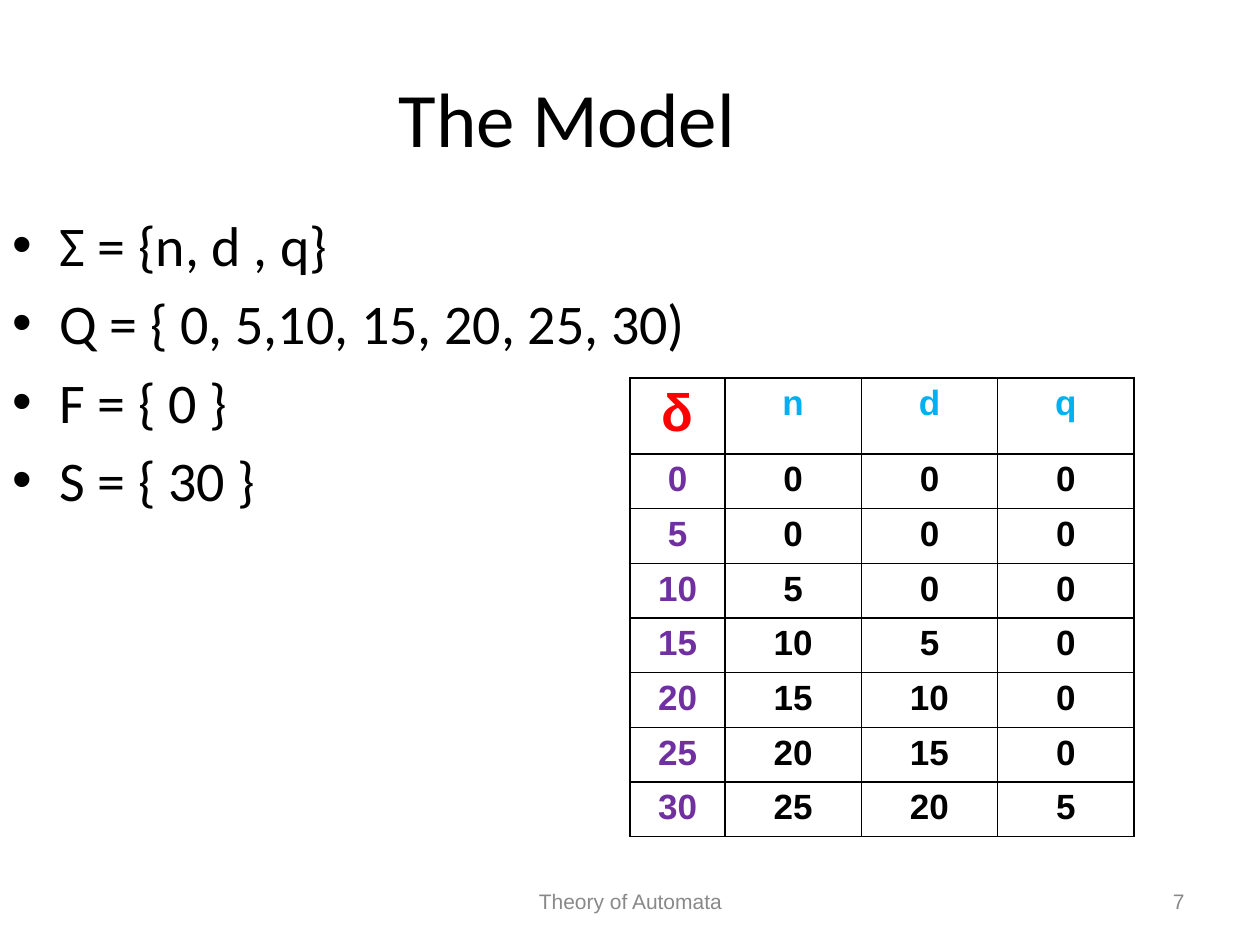
from dataclasses import dataclass
from lxml.etree import SubElement
from pptx import Presentation
from pptx.dml.color import RGBColor
from pptx.enum.text import MSO_ANCHOR, PP_ALIGN
from pptx.oxml import parse_xml
from pptx.oxml.ns import nsdecls, qn
from pptx.util import Emu, Pt

EMU_PER_PIXEL = 914400 / 126


def px(length):
    return Emu(round(length * EMU_PER_PIXEL))


@dataclass(frozen=True)
class Theme:
    heading_font: str = "Calibri"
    table_font: str = "Arial"
    ink: str = "000000"
    muted: str = "898989"
    corner: str = "FF0000"
    coin: str = "00B0F0"
    state: str = "7030A0"
    title_size: int = 44
    body_size: int = 32
    corner_size: int = 30
    table_size: int = 20
    footer_size: int = 12
    bullet_gap: float = 6.4
    border_width: int = 1


class SlideBuilder:
    def __init__(self, page, theme):
        self.page = page
        self.theme = theme

    def style(self, para, font, size, color, align=PP_ALIGN.LEFT, bold=False):
        para.alignment = align
        for span in para.runs:
            span.font.name = font
            span.font.size = Pt(size)
            span.font.bold = bold
            span.font.color.rgb = RGBColor.from_string(color)

    def text(self, area, content, font, size, color, align=PP_ALIGN.LEFT,
             anchor=MSO_ANCHOR.MIDDLE):
        box = self.page.shapes.add_textbox(*map(px, area))
        frame = box.text_frame
        frame.word_wrap = True
        frame.vertical_anchor = anchor
        frame.text = content
        for para in frame.paragraphs:
            self.style(para, font, size, color, align)
        return box

    def bullets(self, area, lines, indent):
        theme = self.theme
        box = self.text(area, "\n".join(lines), theme.heading_font,
                        theme.body_size, theme.ink, anchor=MSO_ANCHOR.TOP)
        for index, para in enumerate(box.text_frame.paragraphs):
            if index:
                para.space_before = Pt(theme.bullet_gap)
            properties = para._p.get_or_add_pPr()
            properties.set("marL", str(px(indent)))
            properties.set("indent", str(-px(indent)))
            SubElement(properties, qn("a:buFont"), typeface="Arial")
            SubElement(properties, qn("a:buChar"), char="•")

    def border(self, cell):
        properties = cell._tc.get_or_add_tcPr()
        for index, side in enumerate(("lnL", "lnR", "lnT", "lnB")):
            properties.insert(index, parse_xml(
                f'<a:{side} {nsdecls("a")} w="{Pt(self.theme.border_width)}">'
                f'<a:solidFill><a:srgbClr val="{self.theme.ink}"/></a:solidFill>'
                f'</a:{side}>'))

    def cell_style(self, row, column):
        theme = self.theme
        if row == 0 and column == 0:
            return theme.corner_size, theme.corner
        if row == 0:
            return theme.table_size, theme.coin
        return theme.table_size, theme.ink if column else theme.state

    def table(self, area, rows, first_width, first_height):
        width, height = area[2:]
        shape = self.page.shapes.add_table(len(rows), len(rows[0]), *map(px, area))
        grid = shape.table
        grid.first_row = False
        grid.horz_banding = False
        for index, column in enumerate(grid.columns):
            rest = (width - first_width) / (len(rows[0]) - 1)
            column.width = px(rest if index else first_width)
        for index, row in enumerate(grid.rows):
            rest = (height - first_height) / (len(rows) - 1)
            row.height = px(rest if index else first_height)
        for row, values in enumerate(rows):
            for column, value in enumerate(values):
                cell = grid.cell(row, column)
                cell.text = str(value)
                cell.fill.background()
                self.border(cell)
                size, color = self.cell_style(row, column)
                self.style(cell.text_frame.paragraphs[0], self.theme.table_font,
                           size, color, PP_ALIGN.CENTER, bold=True)


COINS = {"n": 5, "d": 10, "q": 25}
STATES = range(0, 31, 5)
MODEL = ["Σ = {n, d , q}", "Q = { 0, 5,10, 15, 20, 25, 30)", "F = { 0 }", "S = { 30 }"]

theme = Theme()
deck = Presentation()
deck.slide_width = px(1260)
deck.slide_height = px(945)
builder = SlideBuilder(deck.slides.add_slide(deck.slide_layouts[6]), theme)

builder.text((431, 876, 399, 50), "Theory of Automata", theme.table_font,
             theme.footer_size, theme.muted, PP_ALIGN.CENTER)
builder.text((0, 38, 1134, 157), "The Model", theme.heading_font,
             theme.title_size, theme.ink, PP_ALIGN.CENTER)
builder.bullets((0, 204, 1134, 624), MODEL, indent=47)

transitions = [["δ", *COINS]]
for state in STATES:
    transitions.append([state, *(max(0, state - value) for value in COINS.values())])
builder.table((630, 378, 504, 458), transitions, first_width=95, first_height=76)

builder.text((903, 876, 294, 50), "7", theme.table_font,
             theme.footer_size, theme.muted, PP_ALIGN.RIGHT)

deck.save("out.pptx")
